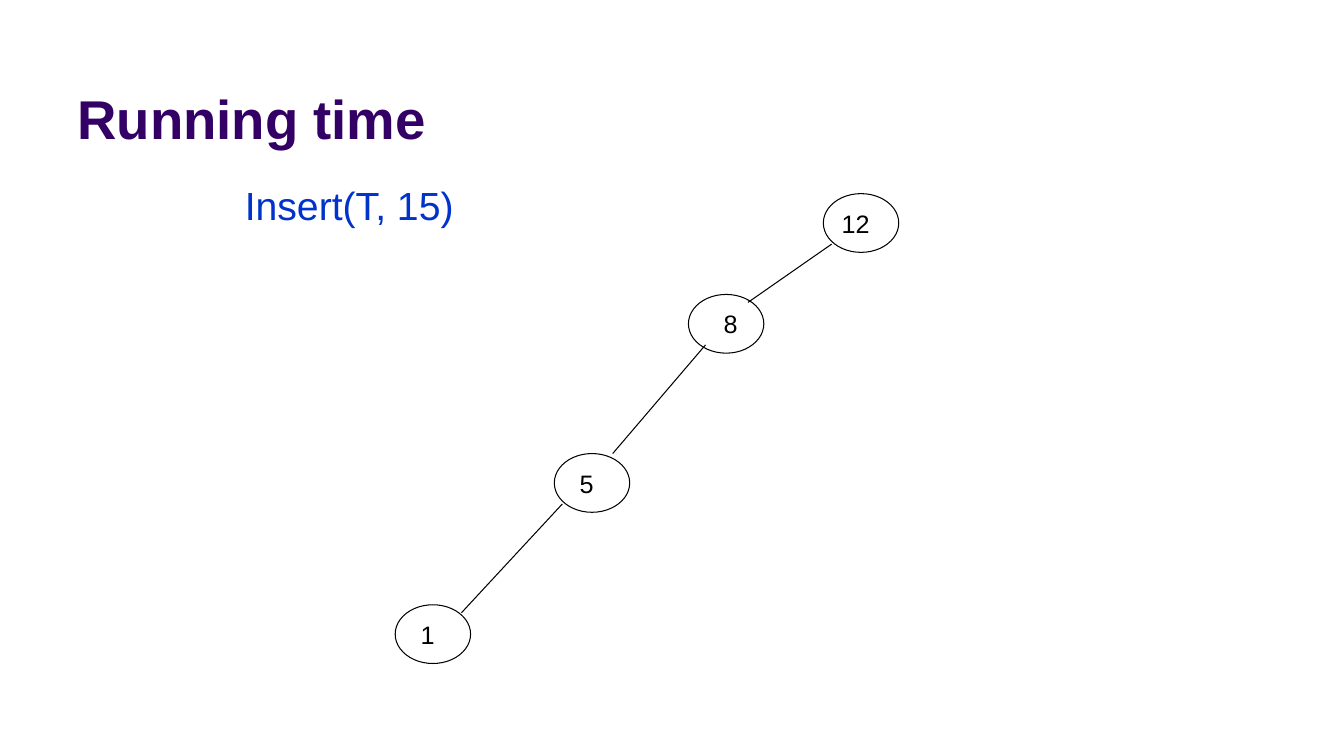
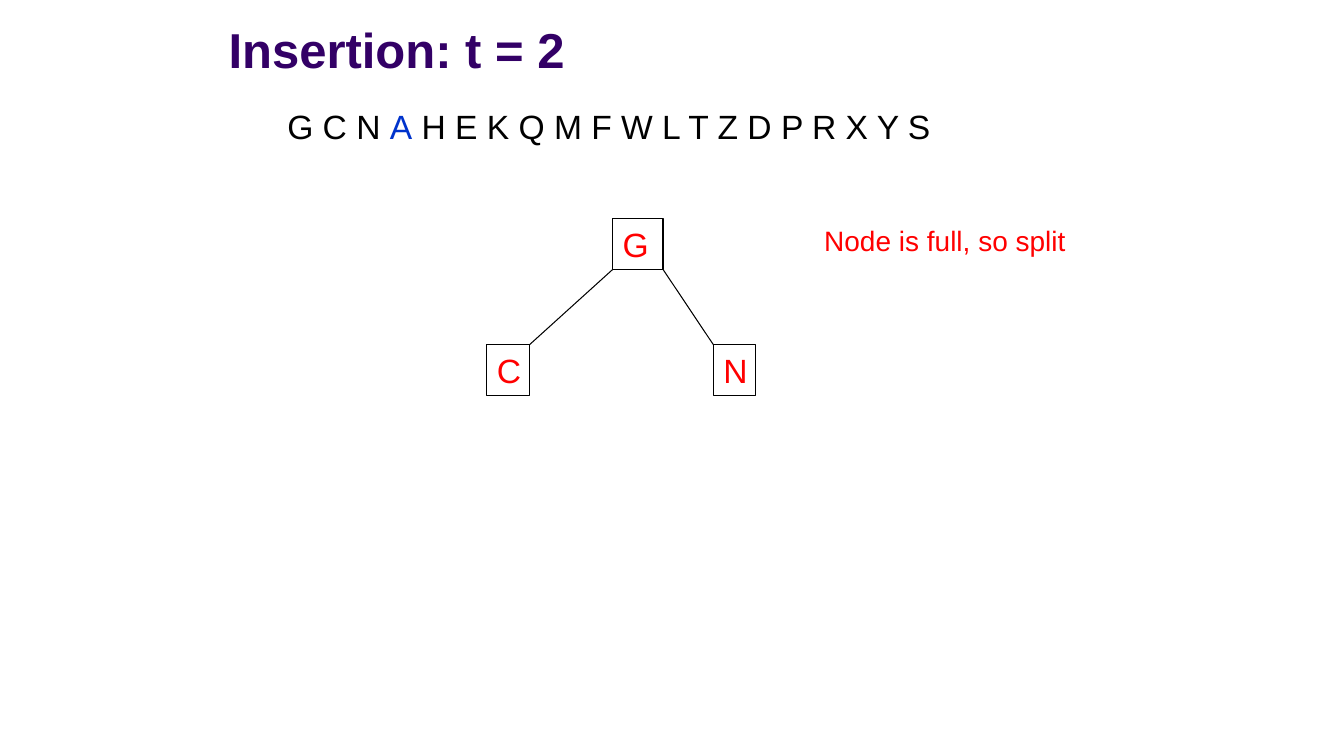
from lxml import etree
from pptx import Presentation
from pptx.dml.color import RGBColor
from pptx.enum.shapes import MSO_CONNECTOR, MSO_SHAPE
from pptx.enum.text import MSO_ANCHOR, MSO_AUTO_SIZE, PP_ALIGN
from pptx.oxml.ns import qn
from pptx.util import Cm, Pt

OVAL, RECT = MSO_SHAPE.OVAL, MSO_SHAPE.RECTANGLE
LINE = MSO_CONNECTOR.STRAIGHT
TOP, MID, LOW = MSO_ANCHOR.TOP, MSO_ANCHOR.MIDDLE, MSO_ANCHOR.BOTTOM
LEFT, FIXED = PP_ALIGN.LEFT, MSO_AUTO_SIZE.NONE

FONT = "Arial"
HEX = {"title": "330066", "text": "000000", "blue": "0033CC", "red": "FF0000"}
PAD = 0.25

OVALS = [
    ("12", 20.75, 4.88, 0.18),
    ("8", 17.35, 7.42, 0.61),
    ("5", 13.97, 11.43, 0.36),
    ("1", 9.96, 15.24, 0.36),
]
OVAL_W, OVAL_H = 1.9, 1.48
LINKS = [
    ((18.85, 7.62), (20.96, 6.15)),
    ((15.44, 11.43), (17.78, 8.69)),
    ((11.63, 15.44), (14.17, 12.7)),
]
CALL = [("Insert(T, 15)", "blue")]

KEYS = [
    ("G C N ", "text"),
    ("A", "blue"),
    (" H E K Q M F W L T Z D P R X Y S", "text"),
]
NOTE = [("Node is full, so split", "red")]
ROOT = ("G", 15.44, 5.51, 1.27)
KIDS = [("C", 12.27, 8.69, 1.07), ("N", 17.98, 8.69, 1.07)]
BOX_H = 1.28


def color(name):
    return RGBColor.from_string(HEX[name])


def write(shape, runs, size, anchor=TOP, bold=False, inset=PAD, end=PAD):
    frame = shape.text_frame
    frame.word_wrap = True
    frame.auto_size = FIXED
    frame.vertical_anchor = anchor
    frame.margin_left, frame.margin_right = Cm(inset), Cm(end)
    para = frame.paragraphs[0]
    para.alignment = LEFT
    for text, tint in runs:
        run = para.add_run()
        run.text = text
        run.font.name = FONT
        run.font.size = Pt(size)
        run.font.bold = bold
        run.font.color.rgb = color(tint)


def add_slide(deck, title, size, place):
    slide = deck.slides.add_slide(deck.slide_layouts[5])
    head = slide.shapes.title
    head.left, head.top, head.width, head.height = map(Cm, place)
    write(head, [(title, "title")], size, LOW, True)
    return slide


def add_text(slide, runs, size, place, anchor=TOP):
    write(slide.shapes.add_textbox(*map(Cm, place)), runs, size, anchor)


def add_node(slide, kind, place, run, size, inset):
    node = slide.shapes.add_shape(kind, *map(Cm, place))
    node.shadow.inherit = False
    node.fill.background()
    node.line.color.rgb = color("text")
    node.line.width = Pt(0.75)
    write(node, [run], size, MID, inset=inset, end=0)


def add_link(slide, start, stop):
    link = slide.shapes.add_connector(LINE, *map(Cm, start + stop))
    link.line.color.rgb = color("text")
    link.line.width = Pt(0.75)
    etree.SubElement(link._element.spPr, qn("a:effectLst"))


def chain_slide(deck):
    slide = add_slide(deck, "Running time", 39, (1.7, 0.33, 27.94, 3.6))
    add_text(slide, CALL, 28, (5.92, 4.45, 8.05, 1.45))
    for text, x, y, inset in OVALS:
        place = (x, y, OVAL_W, OVAL_H)
        add_node(slide, OVAL, place, (text, "text"), 18, inset)
    for start, stop in LINKS:
        add_link(slide, start, stop)


def split_slide(deck):
    slide = add_slide(deck, "Insertion: t = 2", 35, (5.51, 0.33, 20.96, 1.78))
    add_text(slide, KEYS, 24, (6.99, 2.54, 17.04, 1.27), MID)
    add_text(slide, NOTE, 20, (20.52, 5.51, 7.19, 1.09))
    for text, x, y, wide in [ROOT] + KIDS:
        place = (x, y, wide, BOX_H)
        add_node(slide, RECT, place, (text, "red"), 24, PAD)
    _, left, top, wide = ROOT
    base = top + BOX_H
    for _, x, y, span in KIDS:
        if x < left:
            add_link(slide, (x + span, y), (left, base))
        else:
            add_link(slide, (left + wide, base), (x, y))


def main():
    deck = Presentation()
    deck.slide_width, deck.slide_height = Cm(33.87), Cm(19.05)
    chain_slide(deck)
    split_slide(deck)
    deck.save("out.pptx")


if __name__ == "__main__":
    main()
